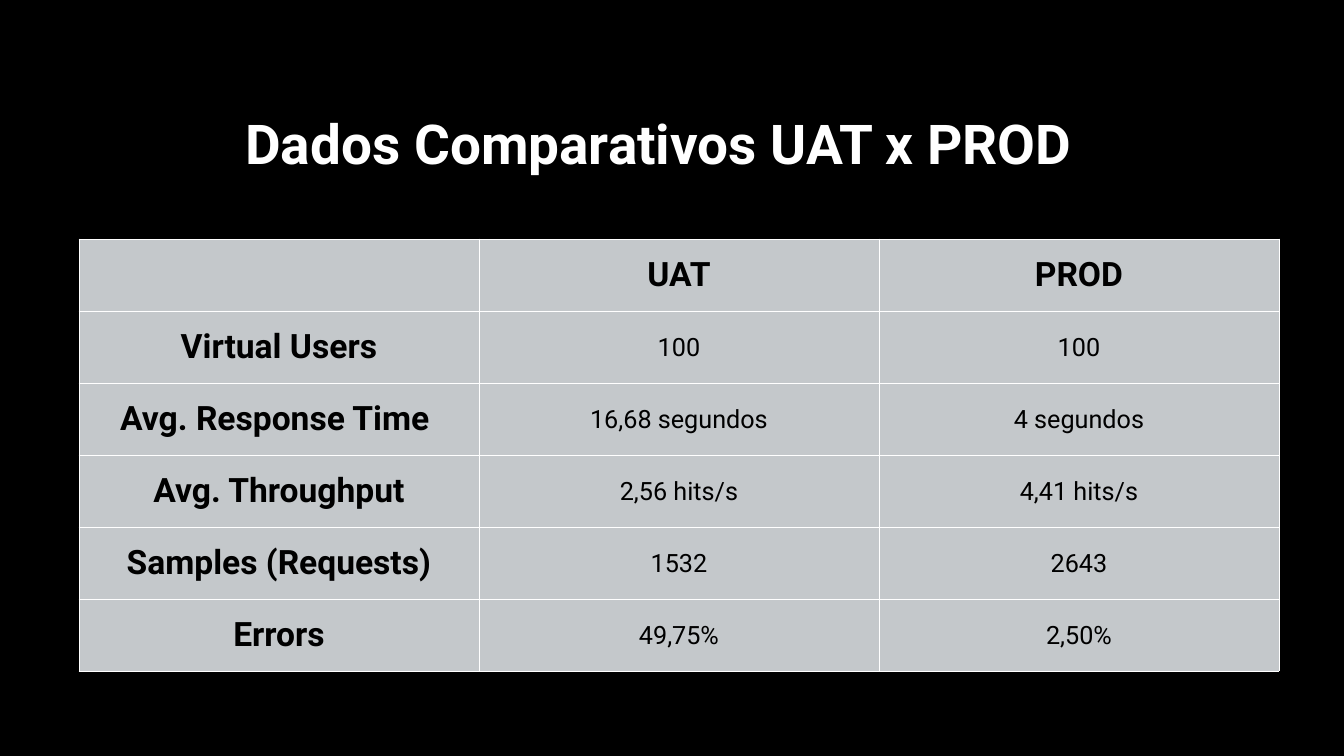
from lxml.etree import SubElement
from pptx import Presentation
from pptx.dml.color import RGBColor
from pptx.enum.text import MSO_ANCHOR, MSO_AUTO_SIZE, PP_ALIGN
from pptx.oxml.ns import qn
from pptx.util import Emu, Pt

COLORS = {"background": "000000", "title": "FFFFFF", "cell": "C4C8CB",
          "text": "000000", "border": "FFFFFF"}
ROWS = [
    ("", "UAT", "PROD"),
    ("Virtual Users", "100", "100"),
    ("Avg. Response Time ", "16,68 segundos", "4 segundos"),
    ("Avg. Throughput", "2,56 hits/s", "4,41 hits/s"),
    ("Samples (Requests)", "1532", "2643"),
    ("Errors", "49,75%", "2,50%"),
]
COLUMN_WIDTH, ROW_HEIGHT = 400, 72


def px(length):
    return Emu(round(length * 914400 / 50.4))


def style_paragraph(paragraph, size, bold, color):
    paragraph.alignment = PP_ALIGN.CENTER
    paragraph.font.name = "Roboto"
    paragraph.font.size = Pt(size)
    paragraph.font.bold = bold
    paragraph.font.color.rgb = RGBColor.from_string(COLORS[color])


presentation = Presentation()
presentation.slide_width = px(1344)
presentation.slide_height = px(756)
slide = presentation.slides.add_slide(presentation.slide_layouts[5])
slide.background.fill.solid()
slide.background.fill.fore_color.rgb = RGBColor.from_string(COLORS["background"])

title = slide.shapes.title
title.left, title.top, title.width, title.height = px(144), px(119), px(1029), px(60)
frame = title.text_frame
frame.text = "Dados Comparativos UAT x PROD"
frame.word_wrap = True
frame.auto_size = MSO_AUTO_SIZE.NONE
frame.vertical_anchor = MSO_ANCHOR.MIDDLE
frame.margin_left = frame.margin_right = frame.margin_top = frame.margin_bottom = px(3)
frame.paragraphs[0].line_spacing = 0.8
style_paragraph(frame.paragraphs[0], 78.4, True, "title")

table = slide.shapes.add_table(
    len(ROWS), len(ROWS[0]), px(79), px(239),
    px(COLUMN_WIDTH * len(ROWS[0])), px(ROW_HEIGHT * len(ROWS))).table
for column in table.columns:
    column.width = px(COLUMN_WIDTH)
for row in table.rows:
    row.height = px(ROW_HEIGHT)

for row_index, values in enumerate(ROWS):
    for column_index, value in enumerate(values):
        cell = table.cell(row_index, column_index)
        cell.text = value
        cell.vertical_anchor = MSO_ANCHOR.MIDDLE
        cell.margin_left = cell.margin_right = cell.margin_top = px(1)
        cell.margin_bottom = 0
        is_heading = row_index == 0 or column_index == 0
        style_paragraph(cell.text_frame.paragraphs[0],
                        48 if is_heading else 36, is_heading, "text")
        properties = cell._tc.get_or_add_tcPr()
        for side in ("L", "R", "T", "B"):
            border = SubElement(properties, qn(f"a:ln{side}"), w=str(Pt(1)))
            border_fill = SubElement(border, qn("a:solidFill"))
            SubElement(border_fill, qn("a:srgbClr"), val=COLORS["border"])
        cell.fill.solid()
        cell.fill.fore_color.rgb = RGBColor.from_string(COLORS["cell"])

presentation.save("out.pptx")
